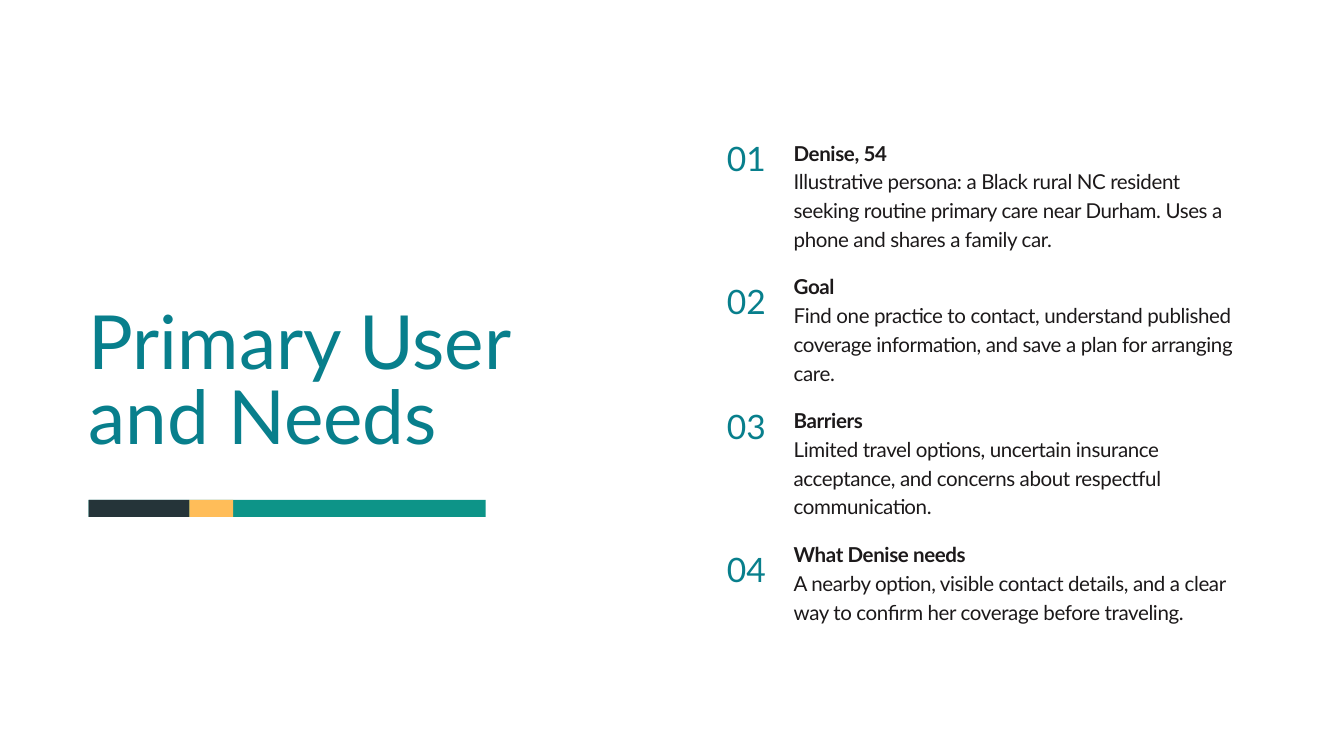
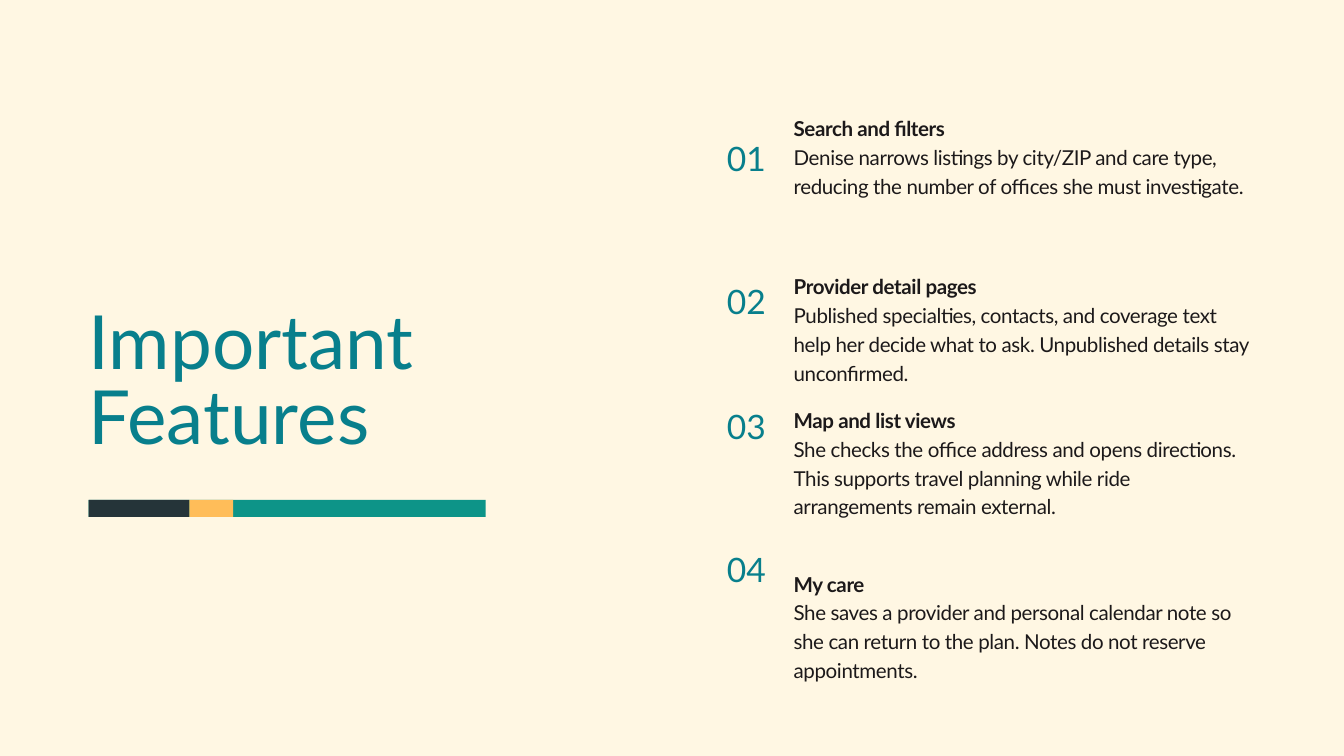
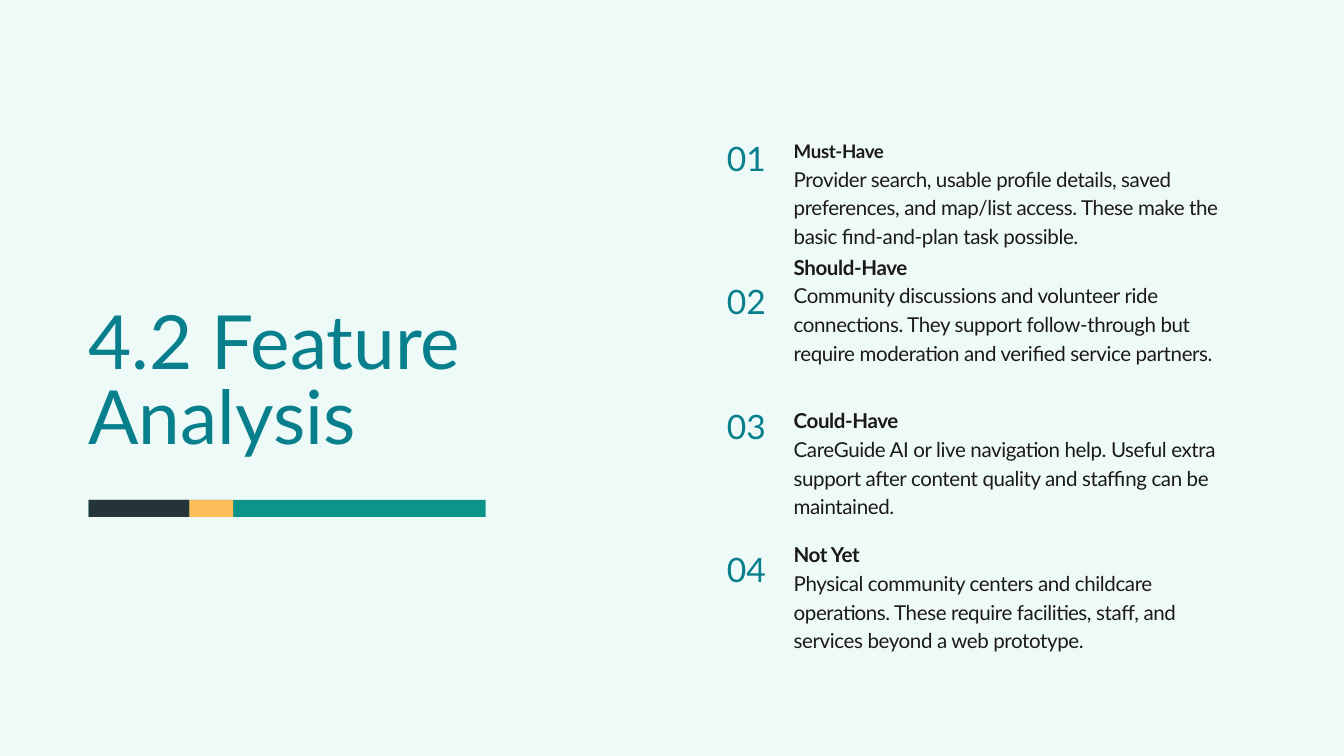
from dataclasses import dataclass

from pptx import Presentation
from pptx.dml.color import RGBColor
from pptx.enum.shapes import MSO_SHAPE
from pptx.enum.text import MSO_AUTO_SIZE, PP_ALIGN
from pptx.util import Cm, Pt

RECTANGLE = MSO_SHAPE.RECTANGLE
FIT_SHAPE = MSO_AUTO_SIZE.SHAPE_TO_FIT_TEXT
LEFT, RIGHT, JUSTIFY = PP_ALIGN.LEFT, PP_ALIGN.RIGHT, PP_ALIGN.JUSTIFY


@dataclass(frozen=True)
class Theme:
    font: str = "Lato"
    heading: str = "087F8C"
    ink: str = "1C191A"
    teal: str = "0D9488"
    slate: str = "253439"
    amber: str = "FFBD59"
    white: str = "FFFFFF"
    cream: str = "FFF7E3"
    mint: str = "EEFAF8"
    title_size: int = 80
    number_size: int = 36
    body_size: int = 22
    small_size: int = 20
    body_leading: float = 1.4
    body_tracking: int = -40  # hundredths of a point


# Layout in centimetres
MARGIN = 3.35
BAND_TOP, BAND_HEIGHT, BAND_WIDTH = 18.9, 0.64, 15.01
SLATE_WIDTH, AMBER_WIDTH = 3.81, 1.65
NUMBER_TOPS = (5.46, 10.87, 15.6, 21.01)
ENTRY_TOP, ENTRY_STEP, LINE_HEIGHT = 5.16, 5.06, 1.08


@dataclass(frozen=True)
class Entry:
    heading: str
    body: str
    body_lines: int = 3
    shift: float = 0  # offset from the regular row, in centimetres
    heading_size: int = Theme.body_size


class Deck:
    def __init__(self, theme):
        self.theme = theme
        self.presentation = Presentation()
        self.presentation.slide_width = Cm(50.8)
        self.presentation.slide_height = Cm(28.58)
        self.slide = None

    def new_slide(self, background):
        blank = self.presentation.slide_layouts[6]
        self.slide = self.presentation.slides.add_slide(blank)
        fill = self.slide.background.fill
        fill.solid()
        fill.fore_color.rgb = RGBColor.from_string(background)

    def text_frame(self, left, top, width, height):
        frame = self.slide.shapes.add_textbox(
            Cm(left), Cm(top), Cm(width), Cm(height)).text_frame
        frame.margin_left = frame.margin_right = 0
        frame.margin_top = frame.margin_bottom = 0
        frame.word_wrap = True
        frame.auto_size = FIT_SHAPE
        return frame

    def line(self, paragraph, text, size, color, align=LEFT,
             leading=1.0, bold=False, tracking=0):
        paragraph.alignment = align
        paragraph.line_spacing = Pt(size * leading)
        run = paragraph.add_run()
        run.text = text
        run.font.name = self.theme.font
        run.font.size = Pt(size)
        run.font.bold = bold
        run.font.color.rgb = RGBColor.from_string(color)
        if tracking:
            run.font._element.set("spc", str(tracking))

    def title(self, first, second):
        frame = self.text_frame(MARGIN, 11.71, 16.84, 5.77)
        for paragraph, text in ((frame.paragraphs[0], first),
                                (frame.add_paragraph(), second)):
            self.line(paragraph, text, self.theme.title_size,
                      self.theme.heading, JUSTIFY)

    def band_part(self, left, width, color):
        part = self.slide.shapes.add_shape(
            RECTANGLE, Cm(left), Cm(BAND_TOP), Cm(width), Cm(BAND_HEIGHT))
        part.shadow.inherit = False
        part.fill.solid()
        part.fill.fore_color.rgb = RGBColor.from_string(color)
        part.line.fill.background()

    def band(self):
        self.band_part(MARGIN, BAND_WIDTH, self.theme.teal)
        self.band_part(MARGIN, SLATE_WIDTH, self.theme.slate)
        self.band_part(MARGIN + SLATE_WIDTH, AMBER_WIDTH, self.theme.amber)

    def number(self, row):
        frame = self.text_frame(24.94, NUMBER_TOPS[row], 4.01, 1.37)
        self.line(frame.paragraphs[0], f"{row + 1:02}",
                  self.theme.number_size, self.theme.heading, RIGHT)

    def entry(self, row, entry):
        theme = self.theme
        top = ENTRY_TOP + row * ENTRY_STEP + entry.shift
        frame = self.text_frame(30, top, 17.2,
                                LINE_HEIGHT * (1 + entry.body_lines))
        style = {"color": theme.ink, "leading": theme.body_leading,
                 "tracking": theme.body_tracking}
        self.line(frame.paragraphs[0], entry.heading, entry.heading_size,
                  bold=True, **style)
        self.line(frame.add_paragraph(), entry.body, theme.body_size, **style)

    def list_slide(self, background, title, entries):
        self.new_slide(background)
        self.band()
        for row, entry in enumerate(entries):
            self.number(row)
            self.entry(row, entry)
        self.title(*title)


def main():
    theme = Theme()
    deck = Deck(theme)

    # Persona
    deck.list_slide(theme.white, ("Primary User", "and Needs"), (
        Entry("Denise, 54",
              "Illustrative persona: a Black rural NC resident seeking routine "
              "primary care near Durham. Uses a phone and shares a family car."),
        Entry("Goal",
              "Find one practice to contact, understand published coverage "
              "information, and save a plan for arranging care."),
        Entry("Barriers",
              "Limited travel options, uncertain insurance acceptance, and "
              "concerns about respectful communication."),
        Entry("What Denise needs",
              "A nearby option, visible contact details, and a clear way to "
              "confirm her coverage before traveling.", body_lines=2),
    ))

    # Features
    deck.list_slide(theme.cream, ("Important", "Features"), (
        Entry("Search and filters",
              "Denise narrows listings by city/ZIP and care type, reducing the "
              "number of offices she must investigate.",
              body_lines=2, shift=-0.92),
        Entry("Provider detail pages",
              "Published specialties, contacts, and coverage text help her "
              "decide what to ask. Unpublished details stay unconfirmed."),
        Entry("Map and list views",
              "She checks the office address and opens directions. This "
              "supports travel planning while ride arrangements remain "
              "external."),
        Entry("My care",
              "She saves a provider and personal calendar note so she can "
              "return to the plan. Notes do not reserve appointments.",
              shift=1.12),
    ))

    # Priorities
    deck.list_slide(theme.mint, ("4.2 Feature", "Analysis"), (
        Entry("Must-Have",
              "Provider search, usable profile details, saved preferences, and "
              "map/list access. These make the basic find-and-plan task "
              "possible.", heading_size=theme.small_size),
        Entry("Should-Have",
              "Community discussions and volunteer ride connections. They "
              "support follow-through but require moderation and verified "
              "service partners.", shift=-0.75),
        Entry("Could-Have",
              "CareGuide AI or live navigation help. Useful extra support after "
              "content quality and staffing can be maintained."),
        Entry("Not Yet",
              "Physical community centers and childcare operations. These "
              "require facilities, staff, and services beyond a web prototype."),
    ))

    deck.presentation.save("out.pptx")


if __name__ == "__main__":
    main()
